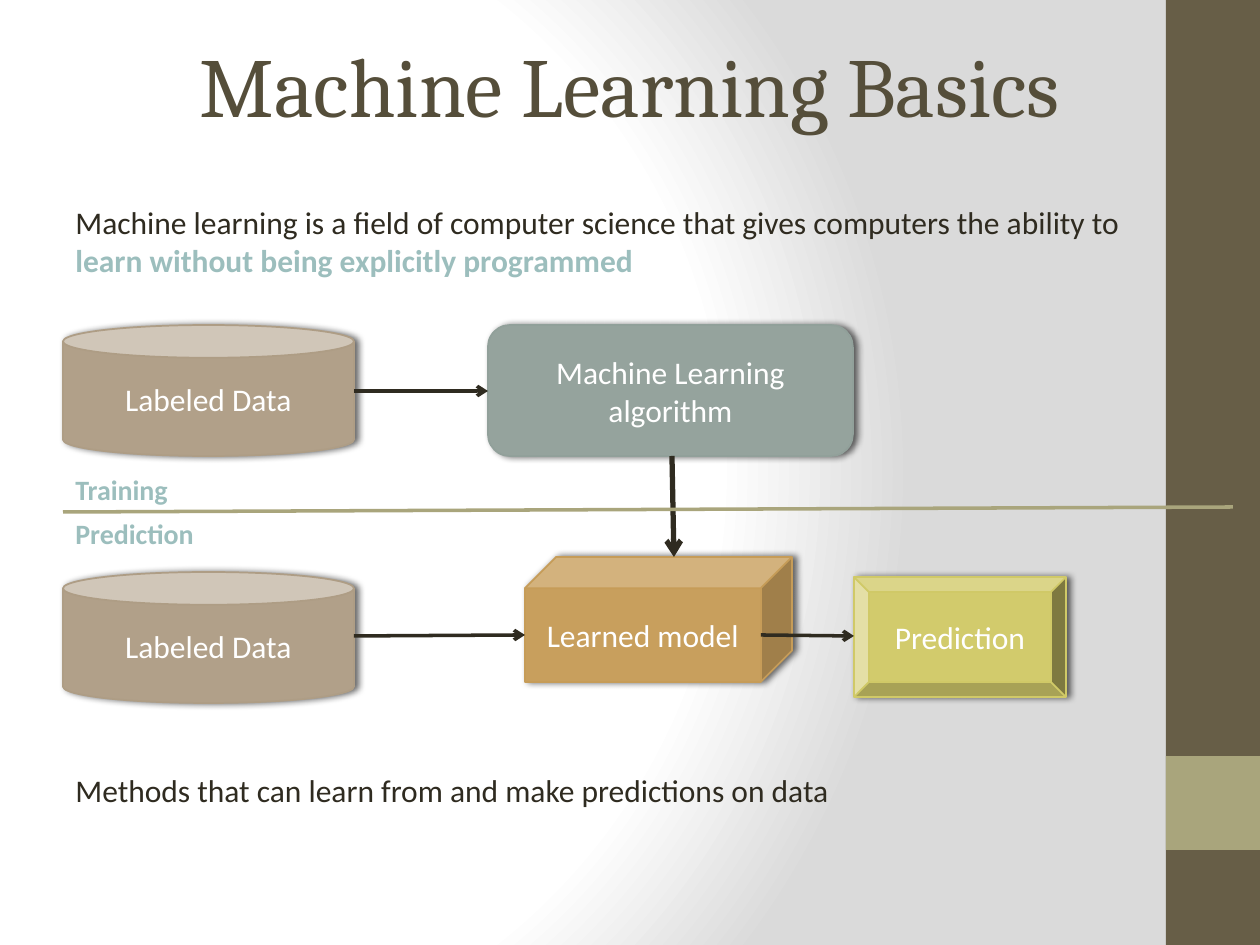
import pptx
import pptx.dml.color
import pptx.enum.shapes
import pptx.enum.text
import pptx.oxml
import pptx.oxml.ns
import pptx.util

RGB = pptx.dml.color.RGBColor
SHAPE = pptx.enum.shapes.MSO_SHAPE
ALIGN = pptx.enum.text.PP_ALIGN
ANCHOR = pptx.enum.text.MSO_ANCHOR
AUTO_SIZE = pptx.enum.text.MSO_AUTO_SIZE

EMU_PER_PX = 914400 / 126
WHITE = RGB(0xFF, 0xFF, 0xFF)
INK = RGB(0x2F, 0x2B, 0x20)
TITLE_BROWN = RGB(0x55, 0x4E, 0x3A)
BAR_BROWN = RGB(0x67, 0x5E, 0x47)
OLIVE = RGB(0xA9, 0xA5, 0x7C)
TEAL = RGB(0x9C, 0xBE, 0xBD)
TAN, TAN_EDGE = RGB(0xB1, 0xA0, 0x89), RGB(0xAE, 0x9D, 0x85)
SAGE, SAGE_EDGE = RGB(0x95, 0xA3, 0x9D), RGB(0x91, 0xA0, 0x9A)
OCHRE, OCHRE_EDGE = RGB(0xC8, 0x9F, 0x5D), RGB(0xC6, 0x9C, 0x58)
LIME, LIME_EDGE = RGB(0xD2, 0xCB, 0x6C), RGB(0xD0, 0xC9, 0x67)

NS = pptx.oxml.ns.nsdecls("a", "p")
BACKGROUND = f"""<p:bg {NS}><p:bgPr><a:gradFill rotWithShape="1"><a:gsLst>
<a:gs pos="0"><a:srgbClr val="FFFFFF"/></a:gs>
<a:gs pos="75000"><a:srgbClr val="FFFFFF"/></a:gs>
<a:gs pos="100000"><a:srgbClr val="DADADA"/></a:gs></a:gsLst>
<a:path path="circle"><a:fillToRect l="20000" t="50000" r="100000" b="50000"/></a:path>
</a:gradFill><a:effectLst/></p:bgPr></p:bg>"""
SHADOW = f"""<a:effectLst {NS}><a:outerShdw blurRad="50800" dist="25400" dir="0" rotWithShape="0">
<a:srgbClr val="000000"><a:alpha val="60000"/></a:srgbClr></a:outerShdw></a:effectLst>"""


def px(*lengths):
    return [pptx.util.Emu(round(length * EMU_PER_PX)) for length in lengths]


def write(paragraph, text, *, size=18, font="Calibri", color=INK, bold=False, align=None):
    run = paragraph.add_run()
    run.text = text
    run.font.size = pptx.util.Pt(size)
    run.font.name = font
    run.font.bold = bold
    run.font.color.rgb = color
    if align is not None:
        paragraph.alignment = align


def add_title(slide, text, box):
    title = slide.shapes.title
    title.left, title.top, title.width, title.height = px(*box)
    frame = title.text_frame
    frame.auto_size = AUTO_SIZE.NONE
    frame.vertical_anchor = ANCHOR.MIDDLE
    write(frame.paragraphs[0], text, size=48, font="Cambria",
          color=TITLE_BROWN, align=ALIGN.CENTER)


def add_text(slide, box, wrap=True):
    """Add a text box and return its first paragraph."""
    frame = slide.shapes.add_textbox(*px(*box)).text_frame
    frame.word_wrap = wrap
    frame.auto_size = AUTO_SIZE.SHAPE_TO_FIT_TEXT
    return frame.paragraphs[0]


def add_bar(slide, box, color):
    bar = slide.shapes.add_shape(SHAPE.RECTANGLE, *px(*box))
    bar.shadow.inherit = False
    bar.fill.solid()
    bar.fill.fore_color.rgb = color
    bar.line.fill.background()


def add_node(slide, kind, label, box, fill, edge):
    node = slide.shapes.add_shape(kind, *px(*box))
    node.fill.solid()
    node.fill.fore_color.rgb = fill
    node.line.color.rgb = edge
    node.line.width = pptx.util.Pt(1)
    node.element.spPr.append(pptx.oxml.parse_xml(SHADOW))
    node.text_frame.word_wrap = True
    node.text_frame.vertical_anchor = ANCHOR.MIDDLE
    write(node.text_frame.paragraphs[0], label, color=WHITE, align=ALIGN.CENTER)


def add_line(slide, ends, color=INK, width=2, arrow=True):
    connector = slide.shapes.add_connector(
        pptx.enum.shapes.MSO_CONNECTOR.STRAIGHT, *px(*ends))
    connector.line.color.rgb = color
    connector.line.width = pptx.util.Pt(width)
    if arrow:
        connector.line._get_or_add_ln().append(
            pptx.oxml.parse_xml(f'<a:tailEnd {NS} type="arrow"/>'))
    connector._element.spPr.append(pptx.oxml.parse_xml(f"<a:effectLst {NS}/>"))


def main():
    deck = pptx.Presentation()
    deck.slide_width, deck.slide_height = px(1260, 945)
    slide = deck.slides.add_slide(deck.slide_layouts[5])
    slide.element.cSld.insert(0, pptx.oxml.parse_xml(BACKGROUND))

    add_bar(slide, (1166, 0, 94, 945), BAR_BROWN)
    add_bar(slide, (1166, 756, 94, 94), OLIVE)
    add_title(slide, "Machine Learning Basics", (76, 25, 1108, 118))

    definition = add_text(slide, (63, 197, 1089, 89))
    write(definition, "Machine learning is a field of computer science "
                      "that gives computers the ability to ")
    write(definition, "learn without being explicitly programmed", color=TEAL, bold=True)
    write(add_text(slide, (63, 765, 1171, 50)),
          "Methods that can learn from and make predictions on data")

    for top in (325, 572):
        add_node(slide, SHAPE.CAN, "Labeled Data", (63, top, 291, 131), TAN, TAN_EDGE)
    add_node(slide, SHAPE.ROUNDED_RECTANGLE, "Machine Learning algorithm",
             (488, 325, 365, 131), SAGE, SAGE_EDGE)
    add_node(slide, SHAPE.CUBE, "Learned model", (525, 557, 267, 125), OCHRE, OCHRE_EDGE)
    add_node(slide, SHAPE.BEVEL, "Prediction", (854, 577, 212, 120), LIME, LIME_EDGE)

    for ends in ((354, 391, 488, 391), (354, 636, 525, 635), (761, 635, 854, 636)):
        add_line(slide, ends)
    add_line(slide, (672, 456, 674, 557), width=3)
    add_line(slide, (63, 512, 1233, 507), color=OLIVE, arrow=False)

    for phase, top, width in (("Training", 466, 131), ("Prediction", 510, 163)):
        write(add_text(slide, (63, top, width, 47), wrap=False), phase,
              size=16, color=TEAL, bold=True)

    deck.save("out.pptx")


if __name__ == "__main__":
    main()
